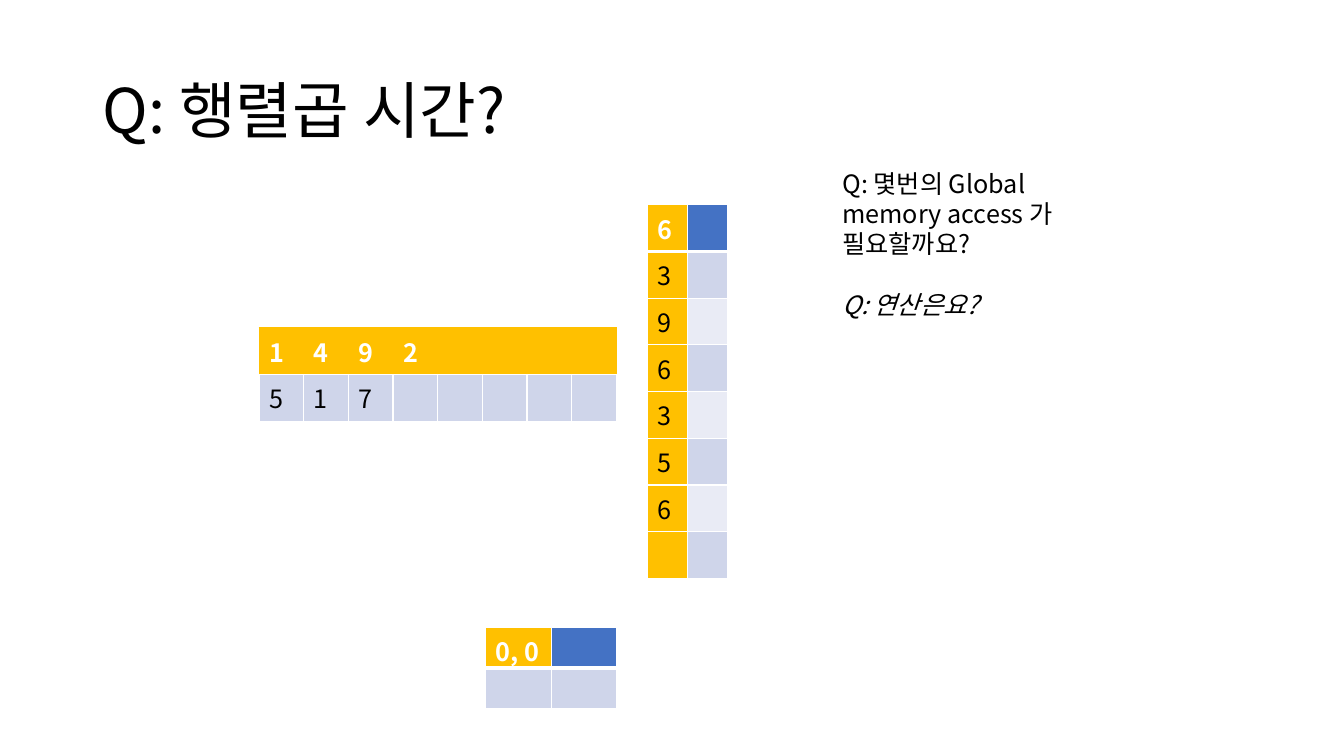
from lxml.etree import SubElement
from pptx import Presentation
from pptx.dml.color import RGBColor
from pptx.enum.text import MSO_ANCHOR, MSO_AUTO_SIZE, PP_ALIGN
from pptx.oxml import parse_xml
from pptx.oxml.ns import nsdecls, qn
from pptx.util import Cm, Pt

FONT = "Noto Sans CJK KR"
HUES = {
    "white": "FFFFFF",
    "black": "000000",
    "amber": "FFC000",
    "blue": "4472C4",
    "dark": "CFD5EA",
    "light": "E9EBF5",
}


def write(para, text, size=18, hue="black", bold=False, italic=False):
    run = para.add_run()
    run.text = text
    font = run.font
    font.size = Pt(size)
    font.bold = bold
    font.italic = italic
    font.color.rgb = RGBColor.from_string(HUES[hue])
    font.name = FONT
    SubElement(run._r.get_or_add_rPr(), qn("a:ea"), typeface=FONT)


def edge(cell, hue, base=1):
    props = cell._tc.get_or_add_tcPr()
    for spot, side in enumerate("LRTB"):
        width = Pt(base if side == "B" else 1)
        props.insert(spot, parse_xml(
            f'<a:ln{side} {nsdecls("a")} w="{width}"><a:solidFill>'
            f'<a:srgbClr val="{HUES[hue]}"/></a:solidFill></a:ln{side}>'))


def title(slide, box, text):
    shape = slide.shapes.title
    shape.left, shape.top, shape.width, shape.height = map(Cm, box)
    frame = shape.text_frame
    frame.auto_size = MSO_AUTO_SIZE.NONE
    frame.vertical_anchor = MSO_ANCHOR.MIDDLE
    para = frame.paragraphs[0]
    para.alignment = PP_ALIGN.LEFT
    para.line_spacing = 0.9
    write(para, text, size=44)


def matrix(slide, box, rows, fills, rim="white", base=3, foot=0.13):
    left, top, width, height = box
    high, wide = len(rows), len(rows[0])
    table = slide.shapes.add_table(high, wide, *map(Cm, box)).table
    for col in table.columns:
        col.width = Cm(width / wide)
    for y, row in enumerate(rows):
        table.rows[y].height = Cm(height / high)
        head = y == 0
        for x, text in enumerate(row):
            cell = table.cell(y, x)
            cell.margin_bottom = Cm(foot)
            cell.fill.solid()
            cell.fill.fore_color.rgb = RGBColor.from_string(HUES[fills(y, x)])
            edge(cell, rim if head else "white", base if head else 1)
            if text:
                write(cell.text_frame.paragraphs[0], text,
                      hue="white" if head else "black", bold=head)


def asks(slide, box, first, second):
    frame = slide.shapes.add_textbox(*map(Cm, box)).text_frame
    frame.word_wrap = True
    para = frame.paragraphs[0]
    write(para, first)
    last = frame.add_paragraph()
    last.space_before = Pt(21.6)
    write(last, second, italic=True)
    for para in frame.paragraphs:
        para.line_spacing = Pt(21.6)


def band(y):
    return "dark" if y % 2 else "light"


def main():
    deck = Presentation()
    deck.slide_width, deck.slide_height = Cm(33.87), Cm(19.05)
    slide = deck.slides.add_slide(deck.slide_layouts[5])

    title(slide, (2.33, 1.02, 29.21, 3.68), "Q: 행렬곱 시간?")
    matrix(slide, (16.32, 5.16, 2.02, 9.36),
           [(text, "") for text in [*"6396356", ""]],
           lambda y, x: "amber" if x == 0 else band(y) if y else "blue")
    matrix(slide, (6.53, 8.26, 9, 2.32),
           [[*"1492", *[""] * 4], [*"517", *[""] * 5]],
           lambda y, x: band(y) if y else "amber", rim="amber", base=1)
    asks(slide, (20.98, 4.11, 7.52, 4.11),
         "Q: 몇번의 Global memory access 가 필요할까요?", "Q: 연산은요?")
    matrix(slide, (12.24, 15.8, 3.3, 2.06), [("0, 0", ""), ("", "")],
           lambda y, x: band(y) if y else ("amber", "blue")[x], foot=0)
    deck.save("out.pptx")


if __name__ == "__main__":
    main()
